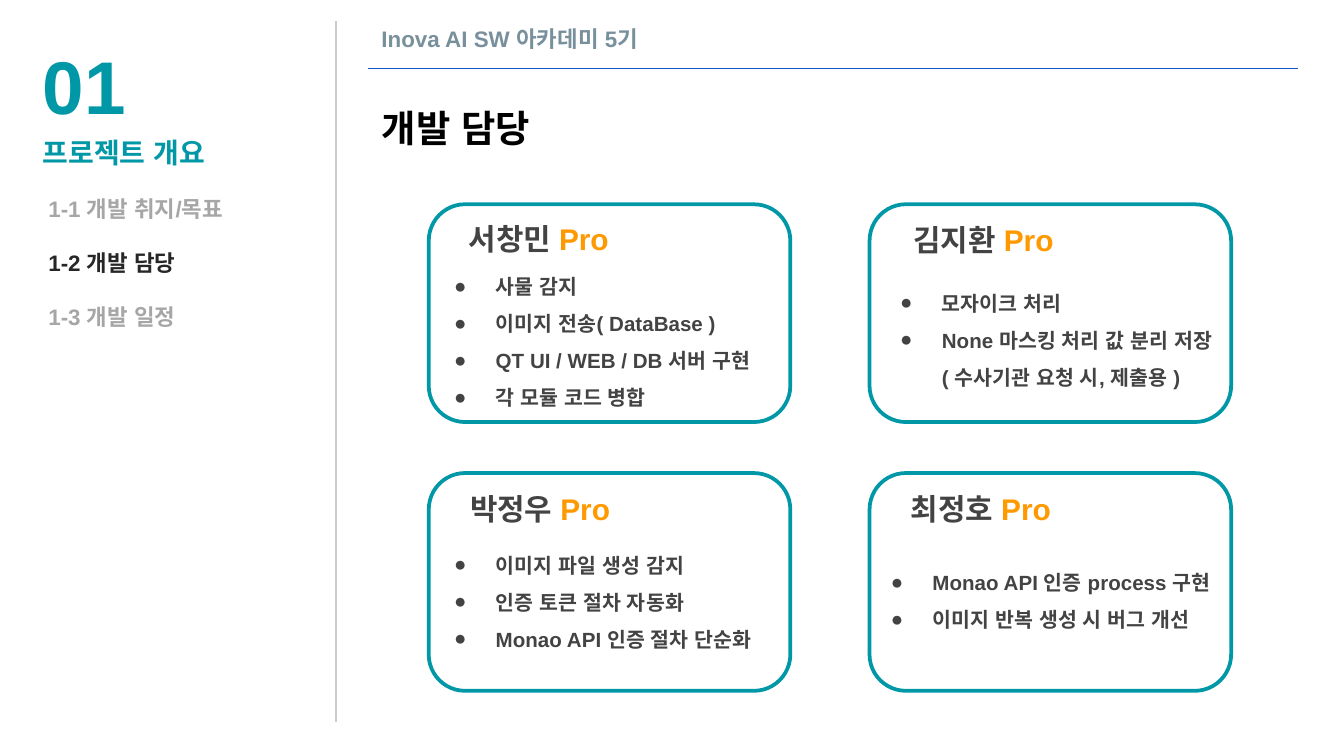
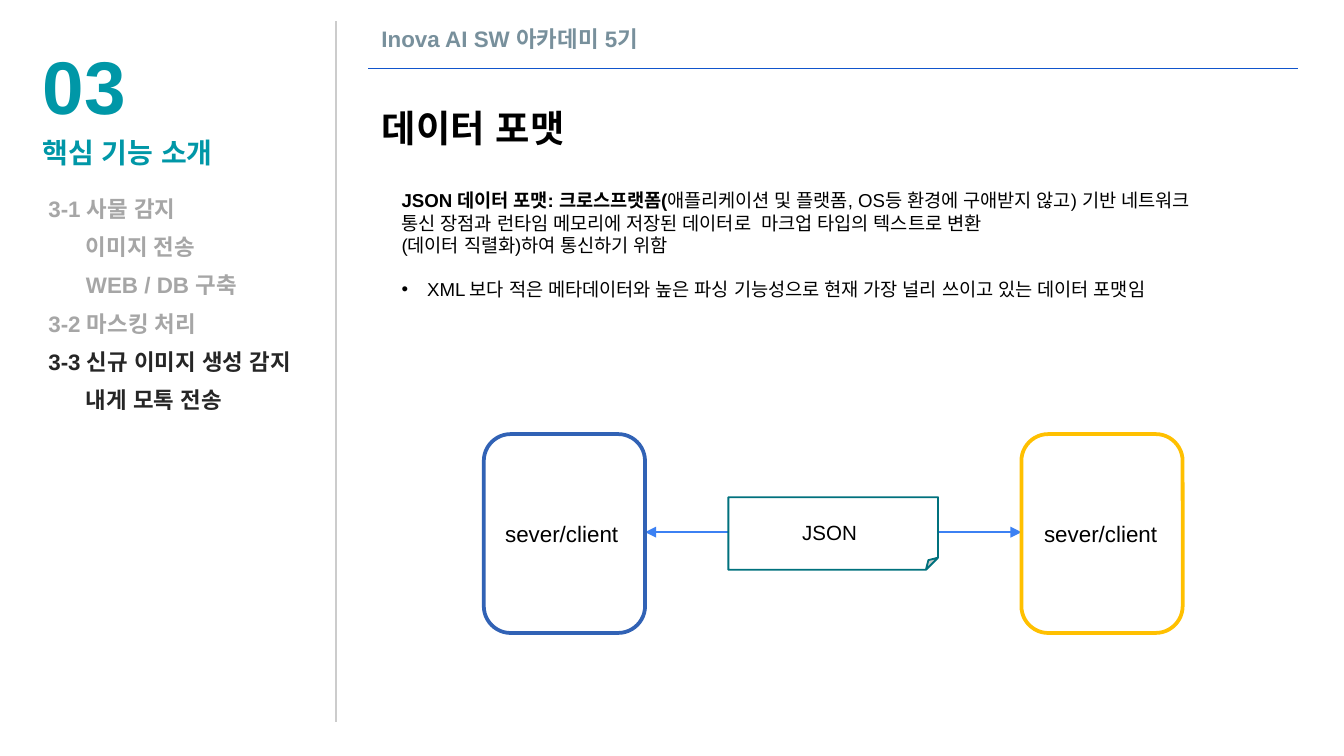
from lxml.etree import SubElement
from pptx import Presentation
from pptx.dml.color import RGBColor
from pptx.enum.shapes import MSO_CONNECTOR as LINE, MSO_SHAPE as SHAPE
from pptx.enum.text import MSO_ANCHOR, MSO_AUTO_SIZE, PP_ALIGN
from pptx.oxml.ns import qn
from pptx.util import Inches, Pt

TEAL = RGBColor(0x00, 0x97, 0xA7)
DARK_TEAL = RGBColor(0x00, 0x71, 0x7D)
SLATE = RGBColor(0x78, 0x90, 0x9C)
BLACK = RGBColor(0x00, 0x00, 0x00)
INK = RGBColor(0x26, 0x26, 0x26)
CHARCOAL = RGBColor(0x43, 0x43, 0x43)
MUTED = RGBColor(0xA6, 0xA6, 0xA6)
SILVER = RGBColor(0xCC, 0xCC, 0xCC)
WHITE = RGBColor(0xFF, 0xFF, 0xFF)
ORANGE = RGBColor(0xFF, 0x99, 0x00)
HEADER_BLUE = RGBColor(0x11, 0x55, 0xCC)
ARROW_BLUE = RGBColor(0x3C, 0x81, 0xF3)
NODE_BLUE = RGBColor(0x31, 0x62, 0xB5)
NODE_YELLOW = RGBColor(0xFF, 0xC0, 0x00)
FONT = "Arial"


def write(box, area, lines, size, color, bold=True, inset=0.1, gap=0, spacing=None):
    box.left, box.top, box.width, box.height = [Inches(side) for side in area]
    frame = box.text_frame
    frame.word_wrap = True
    frame.auto_size = MSO_AUTO_SIZE.NONE
    frame.vertical_anchor = MSO_ANCHOR.TOP
    frame.margin_left = frame.margin_right = Inches(0.1)
    frame.margin_top = frame.margin_bottom = Inches(inset)
    frame.text = "\n".join(lines)
    for index, para in enumerate(frame.paragraphs):
        para.alignment = PP_ALIGN.LEFT
        para.space_before = Pt(gap if index else 0)
        para.line_spacing = spacing
        for span in para.runs:
            span.font.name = FONT
            span.font.size = Pt(size)
            span.font.bold = bold
            span.font.color.rgb = color
            SubElement(span.font._element, qn("a:ea"), typeface=FONT)
    return frame.paragraphs


def indent(para, margin, hanging=0, mark=None, color=None):
    props = para._p.get_or_add_pPr()
    props.set("marL", str(Inches(margin)))
    props.set("indent", str(Inches(-hanging)))
    if mark:
        tint = SubElement(props, qn("a:buClr"))
        SubElement(tint, qn("a:srgbClr"), val=str(color))
        SubElement(props, qn("a:buFont"), typeface=FONT)
        SubElement(props, qn("a:buChar"), char=mark)
    else:
        SubElement(props, qn("a:buNone"))


deck = Presentation()
deck.slide_width = Inches(10)
deck.slide_height = Inches(10) * 9 // 16

header_rule = (2.74, 0.51, 9.66, 0.51, HEADER_BLUE, False)
sidebar_rule = (2.5, 0.16, 2.5, 5.37, SILVER, False)
json_arrow = (4.8, 3.96, 7.6, 3.96, ARROW_BLUE, True)

chapters = [
    ("01", "프로젝트 개요", "개발 담당", 14.6, [], [
        ("1-1 개발 취지/목표", 0, MUTED),
        ("1-2 개발 담당", 0, INK),
        ("1-3 개발 일정", 0, MUTED),
    ]),
    ("03", "핵심 기능 소개", "데이터 포맷", 6.1, [json_arrow], [
        ("3-1 사물 감지", 0, MUTED),
        ("이미지 전송", 0.28, MUTED),
        ("WEB / DB 구축", 0.28, MUTED),
        ("3-2 마스킹 처리", 0, MUTED),
        ("3-3 신규 이미지 생성 감지", 0, INK),
        ("내게 모톡 전송", 0.28, INK),
    ]),
]

pages = []
for number, chapter, title, gap, arrows, agenda in chapters:
    page = deck.slides.add_slide(deck.slide_layouts[1])
    pages.append(page)
    for x1, y1, x2, y2, color, heads in [header_rule, sidebar_rule] + arrows:
        rule = page.shapes.add_connector(
            LINE.STRAIGHT, Inches(x1), Inches(y1), Inches(x2), Inches(y2))
        rule.line.color.rgb = color
        rule.line.width = Pt(0.75)
        if heads:
            for end in ("a:headEnd", "a:tailEnd"):
                SubElement(rule.line._get_or_add_ln(), qn(end), type="triangle")
        SubElement(rule._element.spPr, qn("a:effectLst"))

    write(page.shapes.title, (2.74, 0.68, 2.57, 0.49), [title], 20, BLACK)
    for area, text, size, color in [
        ((2.74, 0.09, 2.24, 0.33), "Inova AI SW 아카데미 5기", 12, SLATE),
        ((0.22, 0.2, 0.83, 0.81), number, 40, TEAL),
        ((0.22, 0.91, 1.74, 0.38), chapter, 15, TEAL),
    ]:
        write(page.shapes.add_textbox(0, 0, 0, 0), area, [text], size, color)

    items = write(page.placeholders[1], (0.26, 1.35, 2.12, 1.63),
                  [item[0] for item in agenda], 12, MUTED, gap=gap)
    for para, (text, margin, color) in zip(items, agenda):
        indent(para, margin)
        para.runs[0].font.color.rgb = color

team_page, format_page = pages

members = [
    ("서창민", (3.39, 1.54), (3.09, 1.85, 2.75, 1.24),
     ["사물 감지", "이미지 전송( DataBase )", "QT UI / WEB / DB 서버 구현", "각 모듈 코드 병합"]),
    ("김지환", (6.7, 1.55), (6.41, 1.97, 2.94, 1.11),
     ["모자이크 처리", "None 마스킹 처리 값 분리 저장\v( 수사기관 요청 시, 제출용 )"]),
    ("박정우", (3.4, 3.55), (3.09, 3.92, 2.79, 1.15),
     ["이미지 파일 생성 감지", "인증 토큰 절차 자동화", "Monao API 인증 절차 단순화"]),
    ("최정호", (6.68, 3.55), (6.34, 4.05, 2.83, 1.02),
     ["Monao API 인증 process 구현", "이미지 반복 생성 시 버그 개선"]),
]
for index, (name, corner, task_area, tasks) in enumerate(members):
    row, column = divmod(index, 2)
    card = team_page.shapes.add_shape(
        SHAPE.ROUNDED_RECTANGLE, Inches(3.19 + 3.28 * column), Inches(1.52 + 2 * row),
        Inches(2.69), Inches(1.62))
    card.shadow.inherit = False
    card.fill.background()
    card.line.color.rgb = TEAL
    card.line.width = Pt(2)

    task_box = team_page.shapes.add_textbox(0, 0, 0, 0)
    for para in write(task_box, task_area, tasks, 11, CHARCOAL, spacing=1.5):
        indent(para, 0.5, 0.31, "●", CHARCOAL)

    name_box = team_page.shapes.add_textbox(0, 0, 0, 0)
    para = write(name_box, (*corner, 1.34, 0.49), [name + " "], 16, CHARCOAL)[0]
    role = para.add_run()
    role.text = "Pro"
    role.font.name = FONT
    role.font.size = Pt(16)
    role.font.bold = True
    role.font.color.rgb = ORANGE

summary_box = format_page.shapes.add_textbox(0, 0, 0, 0)
summary, reason = write(summary_box, (2.89, 1.36, 6.24, 0.94), [
    "JSON 데이터 포맷: 크로스프랫폼(",
    "XML 보다 적은 메타데이터와 높은 파싱 기능성으로 현재 가장 널리 쓰이고 있는 데이터 포맷임",
], 10, BLACK, bold=False, inset=0.05, gap=11.5)
summary.runs[0].font.bold = True
indent(reason, 0.19, 0.19, "•", BLACK)
for index, text in enumerate([
    "애플리케이션 및 플랫폼, OS등 환경에 구애받지 않고) 기반 네트워크 통신 장점과 "
    "런타임 메모리에 저장된 데이터로  마크업 타입의 텍스트로 변환",
    "(데이터 직렬화)하여 통신하기 위함",
]):
    if index:
        summary.add_line_break()
    span = summary.add_run()
    span.text = text
    span.font.name = FONT
    span.font.size = Pt(10)
    span.font.bold = False
    span.font.color.rgb = BLACK
    SubElement(span.font._element, qn("a:ea"), typeface=FONT)

for kind, area, color, width in [
    (SHAPE.ROUNDED_RECTANGLE, (3.6, 3.23, 1.2, 1.48), NODE_BLUE, 2),
    (SHAPE.ROUNDED_RECTANGLE, (7.6, 3.23, 1.2, 1.48), NODE_YELLOW, 2),
    (SHAPE.FOLDED_CORNER, (5.42, 3.7, 1.56, 0.54), DARK_TEAL, 1),
]:
    node = format_page.shapes.add_shape(kind, *[Inches(side) for side in area])
    node.shadow.inherit = False
    node.line.color.rgb = color
    node.line.width = Pt(width)
    if kind == SHAPE.FOLDED_CORNER:
        node.fill.solid()
        node.fill.fore_color.rgb = WHITE
    else:
        node.fill.background()

for left, width, text, size in [
    (3.66, 1.09, "sever/client", 12),
    (5.87, 0.78, "JSON", 11),
    (7.67, 1.09, "sever/client", 12),
]:
    label = format_page.shapes.add_textbox(0, 0, 0, 0)
    write(label, (left, 3.82, width, 0.3), [text], size, BLACK, bold=False, inset=0.05)

deck.save("out.pptx")
